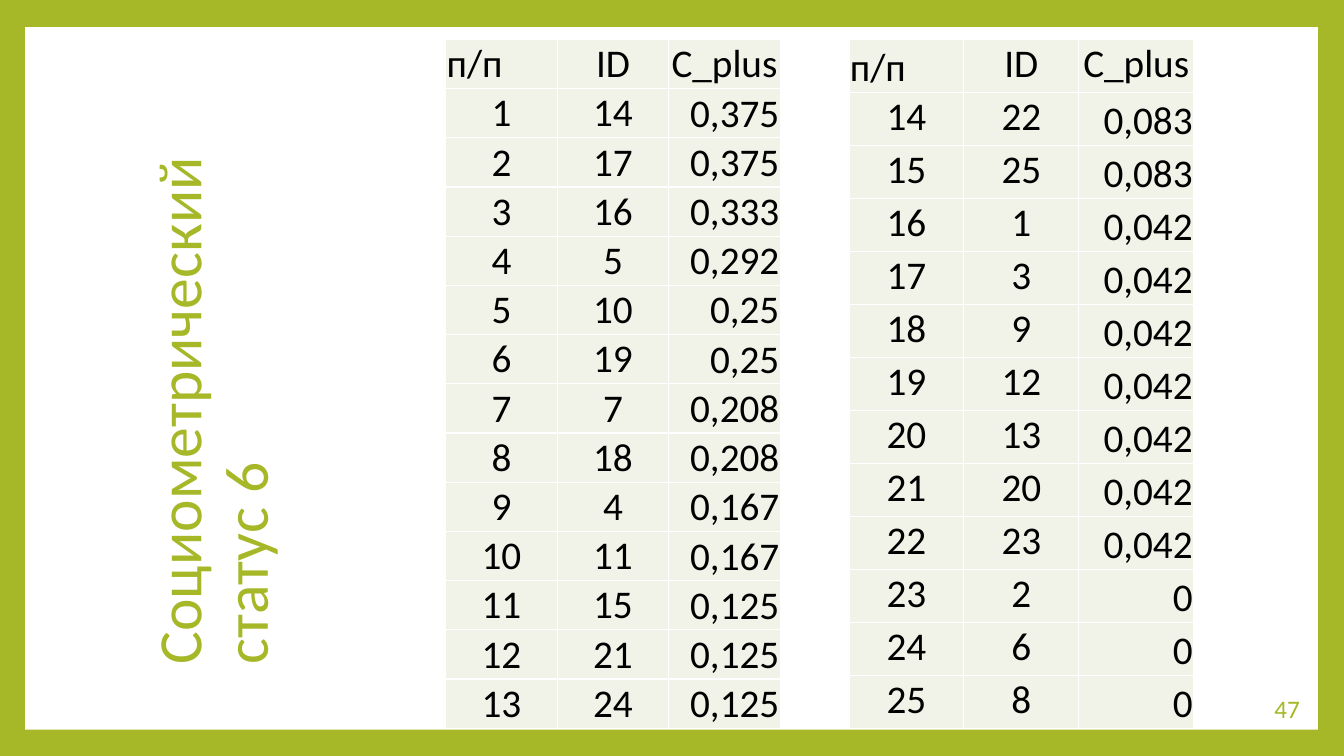
from pptx import Presentation
from pptx.dml.color import RGBColor
from pptx.enum.shapes import MSO_SHAPE as Shape
from pptx.enum.text import MSO_ANCHOR as Anchor, PP_ALIGN as Align
from pptx.oxml import parse_xml
from pptx.oxml.ns import nsdecls
from pptx.util import Inches, Pt

GREEN = RGBColor(0xA6, 0xB7, 0x27)
WHITE = RGBColor(0xFF, 0xFF, 0xFF)
BLACK = RGBColor(0, 0, 0)
PALE = RGBColor(0xF1, 0xF3, 0xE8)
FONT = "Calibri"

TITLE = ("Социометрический", "статус 6")
PAGE_NUMBER = "47"
HEADER = ("п/п", "ID", "C_plus")
STATUSES = [
    (14, "0,375"), (17, "0,375"), (16, "0,333"), (5, "0,292"), (10, "0,25"),
    (19, "0,25"), (7, "0,208"), (18, "0,208"), (4, "0,167"), (11, "0,167"),
    (15, "0,125"), (21, "0,125"), (24, "0,125"), (22, "0,083"), (25, "0,083"),
    (1, "0,042"), (3, "0,042"), (9, "0,042"), (12, "0,042"), (13, "0,042"),
    (20, "0,042"), (23, "0,042"), (2, "0"), (6, "0"), (8, "0"),
]
RANKING = [(str(rank), str(person), value)
           for rank, (person, value) in enumerate(STATUSES, 1)]
SPLIT = 13
TABLES = [(4.42, 3.32, RANKING[:SPLIT]), (8.42, 3.42, RANKING[SPLIT:])]
TABLE_TOP, TABLE_HEIGHT = 0.39, 6.84

HEADER_STYLE = ((Align.LEFT, Anchor.BOTTOM), (Align.CENTER, Anchor.TOP),
                (Align.CENTER, Anchor.TOP))
BODY_STYLE = ((Align.CENTER, Anchor.TOP), (Align.CENTER, Anchor.TOP),
              (Align.RIGHT, Anchor.BOTTOM))


def add_run(paragraph, text, size, color):
    run = paragraph.add_run()
    run.text = text
    run.font.name, run.font.size = FONT, Pt(size)
    run.font.color.rgb = color


def add_label(slide, box, lines, size, align):
    frame = slide.shapes.add_textbox(*map(Inches, box)).text_frame
    frame.word_wrap = True
    frame.vertical_anchor = Anchor.MIDDLE
    paragraph = frame.paragraphs[0]
    paragraph.alignment = align
    for index, line in enumerate(lines):
        if index:
            paragraph.add_line_break()
        add_run(paragraph, line, size, GREEN)
    return frame


def fill_cell(cell, text, align, anchor):
    cell.margin_left = cell.margin_right = cell.margin_top = Inches(0.01)
    cell.margin_bottom = 0
    cell.vertical_anchor = anchor
    for side in ("lnL", "lnR", "lnT", "lnB"):
        cell._tc.get_or_add_tcPr().append(parse_xml(
            f'<a:{side} {nsdecls("a")} w="{Pt(1)}"><a:solidFill>'
            f'<a:srgbClr val="{WHITE}"/></a:solidFill></a:{side}>'))
    cell.fill.solid()
    cell.fill.fore_color.rgb = PALE
    paragraph = cell.text_frame.paragraphs[0]
    paragraph.alignment = align
    add_run(paragraph, text, 28, BLACK)


def add_ranking(slide, left, width, ranking):
    rows = [HEADER, *ranking]
    table = slide.shapes.add_table(
        len(rows), len(HEADER), Inches(left), Inches(TABLE_TOP),
        Inches(width), Inches(TABLE_HEIGHT)).table
    table.first_row = table.horz_banding = False
    for r, row in enumerate(rows):
        styles = BODY_STYLE if r else HEADER_STYLE
        for c, (text, style) in enumerate(zip(row, styles)):
            fill_cell(table.cell(r, c), text, *style)


def main():
    """Build the slide of sociometric status rankings."""
    deck = Presentation()
    deck.slide_width, deck.slide_height = Inches(13.33), Inches(7.5)
    slide = deck.slides.add_slide(deck.slide_layouts[6])
    slide.background.fill.solid()
    slide.background.fill.fore_color.rgb = GREEN

    panel = slide.shapes.add_shape(
        Shape.RECTANGLE, *map(Inches, (0.25, 0.27, 12.82, 6.97)))
    panel.shadow.inherit = False
    panel.fill.solid()
    panel.fill.fore_color.rgb = WHITE
    panel.line.fill.background()

    add_label(slide, (11.12, 6.83, 1.87, 0.4), [PAGE_NUMBER], 18, Align.RIGHT)
    title = add_label(slide, (0.88, 0.52, 2.5, 6.17), TITLE, 44, Align.LEFT)
    title.paragraphs[0].line_spacing = 0.9
    title._txBody.bodyPr.set("vert", "vert270")

    for left, width, ranking in TABLES:
        add_ranking(slide, left, width, ranking)
    deck.save("out.pptx")


if __name__ == "__main__":
    main()
